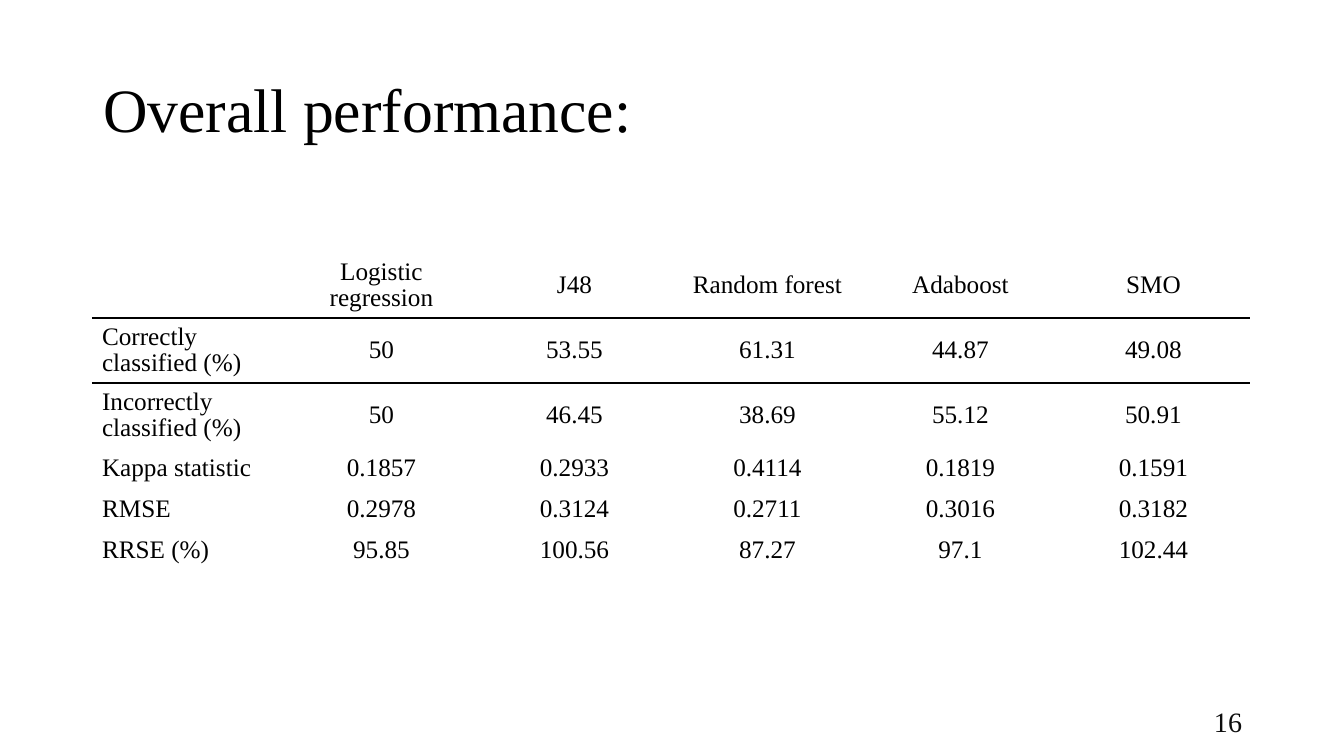
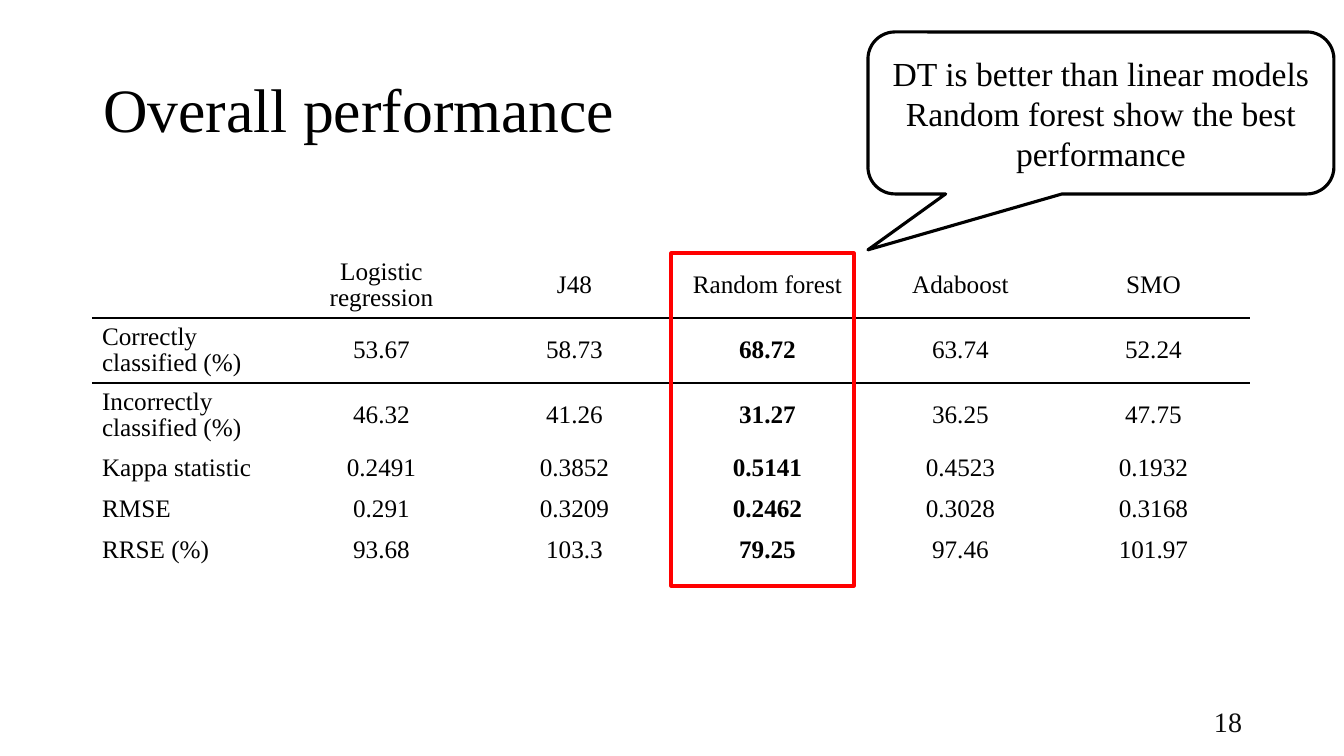
from lxml import etree
from pptx import Presentation
from pptx import util as u
from pptx.dml.color import RGBColor
from pptx.enum import shapes, text
from pptx.oxml.ns import qn

EMU_PER_PX = 914400 / 100.8
FONT = "Times New Roman"
BLACK = RGBColor(0x00, 0x00, 0x00)
DARK = RGBColor(0x0D, 0x0D, 0x0D)
WHITE = RGBColor(0xFF, 0xFF, 0xFF)
RED = RGBColor(0xFF, 0x00, 0x00)
PLAIN_TABLE_STYLE = "{2D5ABB26-0587-4C30-8999-92F81FD0307C}"

TITLE_BOX = (93, 40, 1159, 146)
TABLE_BOX = (92, 253, 1158, 318)
NUMBER_BOX = (950, 701, 302, 40)
CALLOUT_BOX = (868, 32, 466, 162)
ROW_HEIGHTS = (65, 65, 65, 41, 41, 41)

MODELS = ("Logistic regression", "J48", "Random forest", "Adaboost", "SMO")
MEASURES = ("Correctly classified (%)", "Incorrectly classified (%)",
            "Kappa statistic", "RMSE", "RRSE (%)")
BEST_COLUMN = 1 + MODELS.index("Random forest")
FIRST_SCORES = (
    ("50", "53.55", "61.31", "44.87", "49.08"),
    ("50", "46.45", "38.69", "55.12", "50.91"),
    ("0.1857", "0.2933", "0.4114", "0.1819", "0.1591"),
    ("0.2978", "0.3124", "0.2711", "0.3016", "0.3182"),
    ("95.85", "100.56", "87.27", "97.1", "102.44"),
)
SECOND_SCORES = (
    ("53.67", "58.73", "68.72", "63.74", "52.24"),
    ("46.32", "41.26", "31.27", "36.25", "47.75"),
    ("0.2491", "0.3852", "0.5141", "0.4523", "0.1932"),
    ("0.291", "0.3209", "0.2462", "0.3028", "0.3168"),
    ("93.68", "103.3", "79.25", "97.46", "101.97"),
)


def px(length):
    return u.Emu(round(length * EMU_PER_PX))


def emu_box(box):
    return [px(length) for length in box]


def style_para(para, size, color=BLACK, align=text.PP_ALIGN.LEFT, bold=False):
    para.alignment = align
    font = para.font
    font.name, font.size, font.bold = FONT, u.Pt(size), bold
    font.color.rgb = color


def place_title(slide, box, title):
    holder = slide.shapes.title
    holder.left, holder.top, holder.width, holder.height = emu_box(box)
    frame = holder.text_frame
    frame.text = title
    frame.auto_size = text.MSO_AUTO_SIZE.NONE
    frame.vertical_anchor = text.MSO_ANCHOR.MIDDLE
    para = frame.paragraphs[0]
    para.line_spacing = 0.9
    style_para(para, 44)


def add_page_number(slide, box, number):
    frame = slide.shapes.add_textbox(*emu_box(box)).text_frame
    frame.word_wrap = True
    frame.vertical_anchor = text.MSO_ANCHOR.MIDDLE
    frame.text = str(number)
    style_para(frame.paragraphs[0], 20, DARK, text.PP_ALIGN.RIGHT)


def add_border(cell, side):
    """Draw a black 1 pt line on one side of a cell: lnT or lnB."""
    line = etree.Element(qn(f"a:{side}"), w=str(u.Pt(1)))
    fill = etree.SubElement(line, qn("a:solidFill"))
    etree.SubElement(fill, qn("a:srgbClr"), val=str(BLACK))
    cell._tc.get_or_add_tcPr().insert(0, line)


def add_score_table(slide, box, scores, bold_column=None):
    rows = [("", *MODELS)]
    rows += [(measure, *values) for measure, values in zip(MEASURES, scores)]
    table = slide.shapes.add_table(len(rows), len(rows[0]), *emu_box(box)).table
    table.first_row = table.horz_banding = False
    table._tbl.tblPr.find(qn("a:tableStyleId")).text = PLAIN_TABLE_STYLE
    for row_index, values in enumerate(rows):
        table.rows[row_index].height = px(ROW_HEIGHTS[row_index])
        for column, value in enumerate(values):
            cell = table.cell(row_index, column)
            cell.text = value
            cell.vertical_anchor = text.MSO_ANCHOR.MIDDLE
            cell.fill.solid()
            cell.fill.fore_color.rgb = WHITE
            para = cell.text_frame.paragraphs[0]
            para.line_spacing = 0.95
            style_para(para, 18,
                       align=text.PP_ALIGN.CENTER if column else text.PP_ALIGN.LEFT,
                       bold=row_index > 0 and column == bold_column)
            if row_index < 2:
                add_border(cell, ("lnB", "lnT")[row_index])


def add_outlined_shape(slide, kind, box, color):
    shape = slide.shapes.add_shape(kind, *emu_box(box))
    shape.shadow.inherit = False
    shape.line.color.rgb = color
    shape.line.width = u.Pt(2.25)
    return shape


def add_column_highlight(slide, table_box, column):
    left, top, width, _ = table_box
    column_width = width // (1 + len(MODELS))
    box = (left + column * column_width, top, column_width - 10, 333)
    frame = add_outlined_shape(slide, shapes.MSO_SHAPE.RECTANGLE, box, RED)
    frame.fill.background()


def add_callout(slide, box, lines):
    callout = add_outlined_shape(
        slide, shapes.MSO_SHAPE.ROUNDED_RECTANGULAR_CALLOUT, box, BLACK)
    for index, value in enumerate((-0.5, 0.845, 0.167)):
        callout.adjustments[index] = value
    callout.fill.solid()
    callout.fill.fore_color.rgb = WHITE
    frame = callout.text_frame
    frame.word_wrap = True
    frame.vertical_anchor = text.MSO_ANCHOR.MIDDLE
    frame.text = "\n".join(lines)
    for para in frame.paragraphs:
        style_para(para, 24, align=text.PP_ALIGN.CENTER)


def add_score_slide(deck, title, number, scores, bold_column=None):
    slide = deck.slides.add_slide(deck.slide_layouts.get_by_name("Title Only"))
    place_title(slide, TITLE_BOX, title)
    add_score_table(slide, TABLE_BOX, scores, bold_column)
    add_page_number(slide, NUMBER_BOX, number)
    return slide


def main():
    deck = Presentation()
    deck.slide_width, deck.slide_height = px(1344), px(756)
    add_score_slide(deck, "Overall performance:", 16, FIRST_SCORES)
    slide = add_score_slide(deck, "Overall performance", 18, SECOND_SCORES, BEST_COLUMN)
    add_column_highlight(slide, TABLE_BOX, BEST_COLUMN)
    add_callout(slide, CALLOUT_BOX, ("DT is better than linear models",
                                     "Random forest show the best performance"))
    deck.save("out.pptx")


if __name__ == "__main__":
    main()
